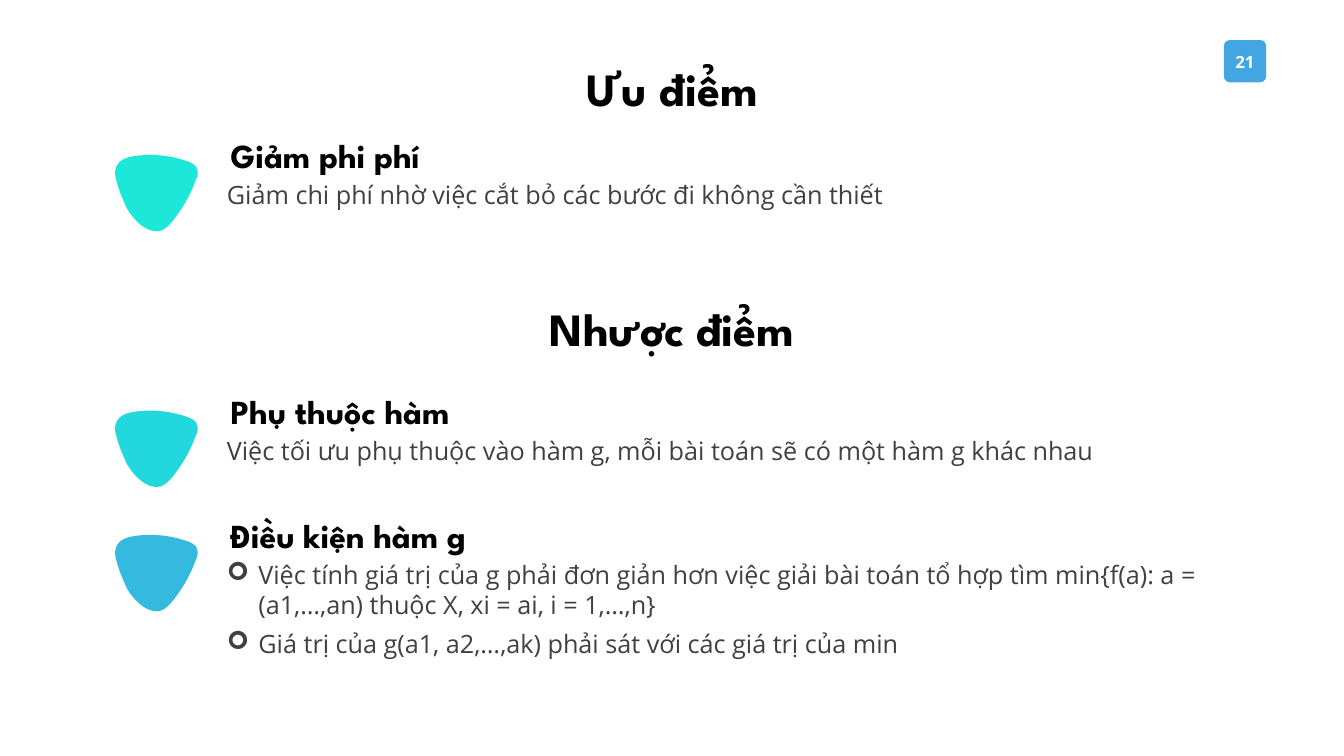
from lxml.etree import SubElement
from pptx import Presentation
from pptx.dml.color import RGBColor
from pptx.enum.shapes import MSO_SHAPE
from pptx.enum.text import MSO_ANCHOR, MSO_AUTO_SIZE, PP_ALIGN
from pptx.oxml.ns import qn
from pptx.util import Pt

HEADING_FONT, BODY_FONT = "League Spartan", "Open Sans"
MARKER_UNIT = 0.72
MARKER_START = (13, 55)
MARKER_CURVES = [
    ((9, 46), (5, 37), (3, 29)),
    ((1, 23), (0, 17), (3, 12)),
    ((6, 6), (13, 4), (19, 3)),
    ((37, 0), (56, 2), (73, 8)),
    ((76, 9), (80, 11), (82, 14)),
    ((82, 14), (82, 15), (82, 15)),
    ((84, 19), (83, 23), (81, 27)),
    ((76, 41), (69, 53), (60, 65)),
    ((56, 70), (52, 75), (46, 77)),
    ((41, 78), (36, 77), (31, 74)),
    ((24, 70), (18, 63), (13, 55)),
]
SECTION_TITLES = [("Ưu điểm", 29.2), ("Nhược điểm", 200.2)]
POINTS = [
    (92.9, 271.4, 29.5, "1DE7D8", "Giảm phi phí",
     ["Giảm chi phí nhờ việc cắt bỏ các bước đi không cần thiết"]),
    (275.5, 212.4, 29.5, "23D8DC", "Phụ thuộc hàm",
     ["Việc tối ưu phụ thuộc vào hàm g, mỗi bài toán sẽ có một hàm g khác nhau"]),
    (364.3, 360.7, 79.9, "34B9DF", "Điều kiện hàm g",
     ["Việc tính giá trị của g phải đơn giản hơn việc giải bài toán tổ hợp tìm "
      "min{f(a): a = (a1,…,an) thuộc X, xi = ai, i = 1,…,n}",
      "Giá trị của g(a1, a2,…,ak) phải sát với các giá trị của min"]),
]


def color(value):
    """Turn a hex string into a colour."""
    return RGBColor.from_string(value)


def paint(shape, fill):
    """Give a shape a plain fill without line or shadow."""
    shape.shadow.inherit = False
    shape.fill.solid()
    shape.fill.fore_color.rgb = color(fill)
    shape.line.fill.background()


def add_bullet(paragraph):
    """Give a paragraph an arrow bullet with a hanging indent."""
    properties = paragraph._p.get_or_add_pPr()
    properties.set("marL", str(Pt(22.5)))
    properties.set("indent", str(-Pt(22.5)))
    SubElement(properties, qn("a:buFont")).set("typeface", "Wingdings")
    SubElement(properties, qn("a:buChar")).set("char", "➢")


def add_text(slide, box, paragraphs, *, font, size, fill="000000", bold=False,
             align=PP_ALIGN.LEFT, anchor=MSO_ANCHOR.TOP, spacing=None,
             after=None, bullets=False, insets=(7.2, 3.6)):
    """Add a wrapping text box holding the given paragraphs."""
    frame = slide.shapes.add_textbox(*map(Pt, box)).text_frame
    frame.word_wrap = True
    frame.auto_size = MSO_AUTO_SIZE.SHAPE_TO_FIT_TEXT
    frame.vertical_anchor = anchor
    frame.margin_left = frame.margin_right = Pt(insets[0])
    frame.margin_top = frame.margin_bottom = Pt(insets[1])
    for index, text in enumerate(paragraphs):
        paragraph = frame.add_paragraph() if index else frame.paragraphs[0]
        if bullets:
            add_bullet(paragraph)
        paragraph.alignment = align
        if spacing:
            paragraph.line_spacing = Pt(spacing)
        if after:
            paragraph.space_after = Pt(after)
        run = paragraph.add_run()
        run.text = text
        run.font.name = font
        run.font.size = Pt(size)
        run.font.bold = bold
        run.font.color.rgb = color(fill)


def add_page_badge(slide, left, top, side, number):
    """Add the rounded badge with the page number centred on it."""
    badge = slide.shapes.add_shape(
        MSO_SHAPE.ROUNDED_RECTANGLE, Pt(left), Pt(top), Pt(side), Pt(side))
    badge.adjustments[0] = 0.14
    paint(badge, "42A6E3")
    add_text(slide, (left - 3.6, top + 4.5, side + 7, 21.6), [number],
             font=BODY_FONT, size=12, fill="FFFFFF", bold=True,
             align=PP_ALIGN.CENTER)


def round_corners(shape):
    """Join each three line segments of a freeform into one Bezier curve."""
    segments = list(shape._element.iter(qn("a:lnTo")))
    for first in range(0, len(segments), 3):
        curve, *others = segments[first:first + 3]
        bezier = curve.makeelement(qn("a:cubicBezTo"))
        curve.addprevious(bezier)
        for segment in (curve, *others):
            bezier.append(segment[0])
            segment.getparent().remove(segment)


def add_marker(slide, left, top, fill):
    """Add the rounded triangle that marks a point."""
    start, *rest = [
        (Pt(left + x * MARKER_UNIT), Pt(top + y * MARKER_UNIT))
        for x, y in [MARKER_START, *(position for curve in MARKER_CURVES
                                     for position in curve)]]
    builder = slide.shapes.build_freeform(*start)
    builder.add_line_segments(rest, close=False)
    marker = builder.convert_to_shape()
    round_corners(marker)
    paint(marker, fill)


def add_point(slide, left, top, heading_width, body_height, fill, heading, body):
    """Add a marker, its heading and the text below."""
    add_marker(slide, left, top + 16.6, fill)
    add_text(slide, (left + 76.3, top, heading_width, 36), [heading],
             font=HEADING_FONT, size=24, bold=True, anchor=MSO_ANCHOR.MIDDLE)
    listed = len(body) > 1
    add_text(slide, (left + 72, top + 31, 730, body_height), body,
             font=BODY_FONT, size=18, fill="404040", insets=(8.64, 4.32),
             align=PP_ALIGN.LEFT if listed else PP_ALIGN.JUSTIFY,
             spacing=None if listed else 21.5,
             after=6 if listed else None, bullets=listed)


def main():
    """Build and save the slide."""
    presentation = Presentation()
    presentation.slide_width, presentation.slide_height = Pt(960), Pt(540)
    slide = presentation.slides.add_slide(presentation.slide_layouts[6])
    add_page_badge(slide, 874.2, 28.6, 30.2, "21")
    for title, top in SECTION_TITLES:
        add_text(slide, (344.4, top, 271.4, 54), [title], font=HEADING_FONT,
                 size=33, bold=True, align=PP_ALIGN.CENTER, spacing=50)
    for point in POINTS:
        add_point(slide, 81.4, *point)
    presentation.save("out.pptx")


if __name__ == "__main__":
    main()
